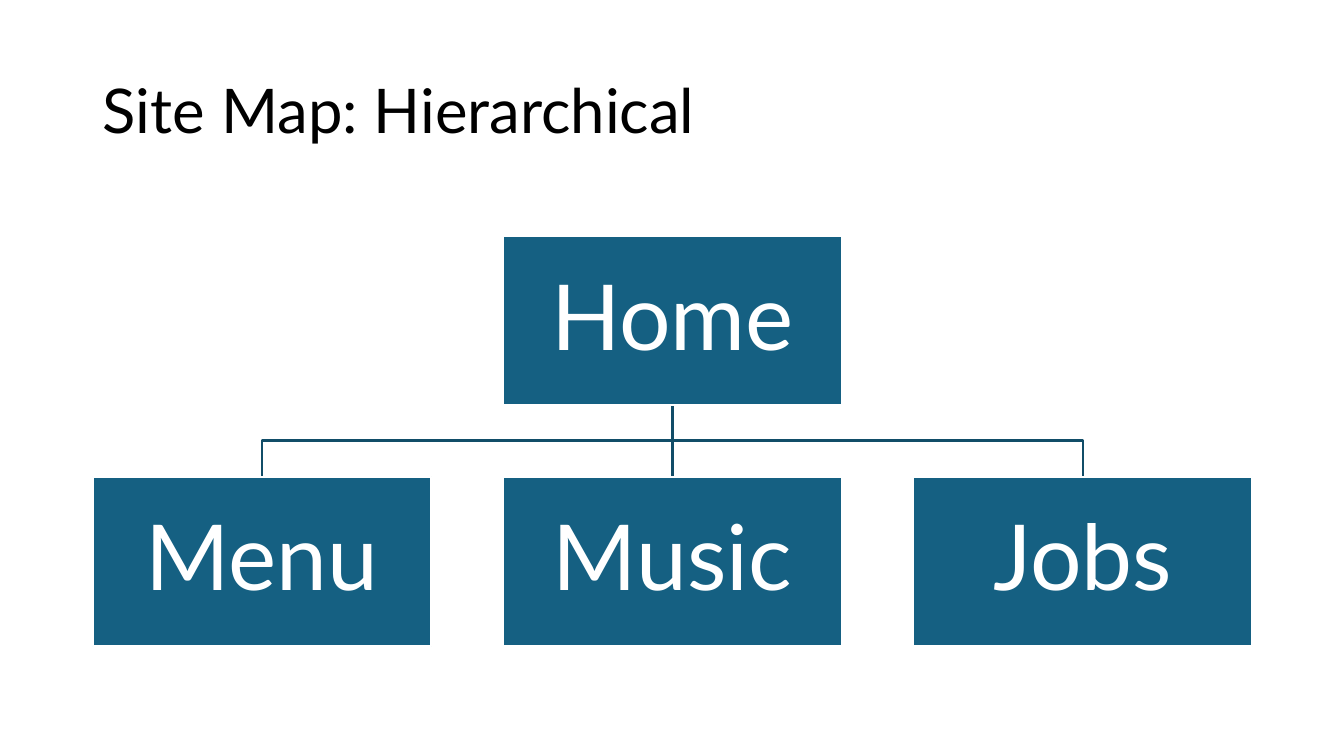
from pptx import Presentation
from pptx import util as u
from pptx.dml.color import RGBColor
from pptx.enum import shapes, text
from pptx.oxml.ns import qn
from lxml import etree

BLACK = RGBColor(0x00, 0x00, 0x00)
WHITE = RGBColor(0xFF, 0xFF, 0xFF)
BOX_BLUE = RGBColor(0x15, 0x60, 0x82)
LINE_BLUE = RGBColor(0x11, 0x4D, 0x68)

BOX_WIDTH, BOX_HEIGHT = 336, 168
LEFT, COLUMN_STEP = 92, 407
HOME_TOP, PAGE_TOP = 234, 473
PAGES = ["Menu", "Music", "Jobs"]


def px(length):
    return u.Emu(length * 9144)


class SiteMap:
    font = "Lato"
    line_width = u.Pt(1.5)

    def __init__(self, slide):
        self.slide = slide

    def set_text(self, frame, words, size, color, alignment):
        frame.word_wrap = True
        frame.auto_size = text.MSO_AUTO_SIZE.NONE
        frame.vertical_anchor = text.MSO_ANCHOR.MIDDLE
        paragraph = frame.paragraphs[0]
        paragraph.alignment = alignment
        paragraph.line_spacing = 0.9
        run = paragraph.add_run()
        run.text = words
        run.font.name = self.font
        run.font.size = u.Pt(size)
        run.font.color.rgb = color

    def outline(self, shape, color):
        shape.line.color.rgb = color
        shape.line.width = self.line_width

    def title(self, words, left, top, width, height):
        title = self.slide.shapes.title
        title.left, title.top = px(left), px(top)
        title.width, title.height = px(width), px(height)
        self.set_text(title.text_frame, words, 44, BLACK, text.PP_ALIGN.LEFT)

    def box(self, words, left, top):
        shape = self.slide.shapes.add_shape(
            shapes.MSO_SHAPE.RECTANGLE,
            px(left), px(top), px(BOX_WIDTH), px(BOX_HEIGHT))
        shape.shadow.inherit = False
        shape.fill.solid()
        shape.fill.fore_color.rgb = BOX_BLUE
        self.outline(shape, WHITE)
        frame = shape.text_frame
        frame.margin_left = frame.margin_right = px(5)
        frame.margin_top = frame.margin_bottom = px(5)
        self.set_text(frame, words, 65, WHITE, text.PP_ALIGN.CENTER)

    def straight(self, x, top, bottom):
        connector = self.slide.shapes.add_connector(
            shapes.MSO_CONNECTOR.STRAIGHT, px(x), px(top), px(x), px(bottom))
        self.outline(connector, LINE_BLUE)
        properties = connector._element.find(qn("p:spPr"))
        etree.SubElement(properties, qn("a:effectLst"))

    def elbow(self, start_x, top, end_x, bottom):
        middle = (top + bottom) // 2
        builder = self.slide.shapes.build_freeform(px(start_x), px(top))
        corners = [(start_x, middle), (end_x, middle), (end_x, bottom)]
        builder.add_line_segments(
            [(px(x), px(y)) for x, y in corners], close=False)
        shape = builder.convert_to_shape()
        shape.shadow.inherit = False
        shape.fill.background()
        self.outline(shape, LINE_BLUE)


def main():
    presentation = Presentation()
    presentation.slide_width = u.Inches(13.33)
    presentation.slide_height = u.Inches(7.5)
    site_map = SiteMap(
        presentation.slides.add_slide(presentation.slide_layouts[5]))

    site_map.title("Site Map: Hierarchical", 92, 40, 1150, 145)
    page_lefts = [LEFT + COLUMN_STEP * column for column in range(len(PAGES))]
    home_left = page_lefts[1]
    home_center = home_left + BOX_WIDTH // 2
    home_bottom = HOME_TOP + BOX_HEIGHT

    for left in page_lefts:
        center = left + BOX_WIDTH // 2
        if center == home_center:
            site_map.straight(center, home_bottom, PAGE_TOP)
        else:
            site_map.elbow(home_center, home_bottom, center, PAGE_TOP)

    site_map.box("Home", home_left, HOME_TOP)
    for page, left in zip(PAGES, page_lefts):
        site_map.box(page, left, PAGE_TOP)

    presentation.save("out.pptx")


if __name__ == "__main__":
    main()
